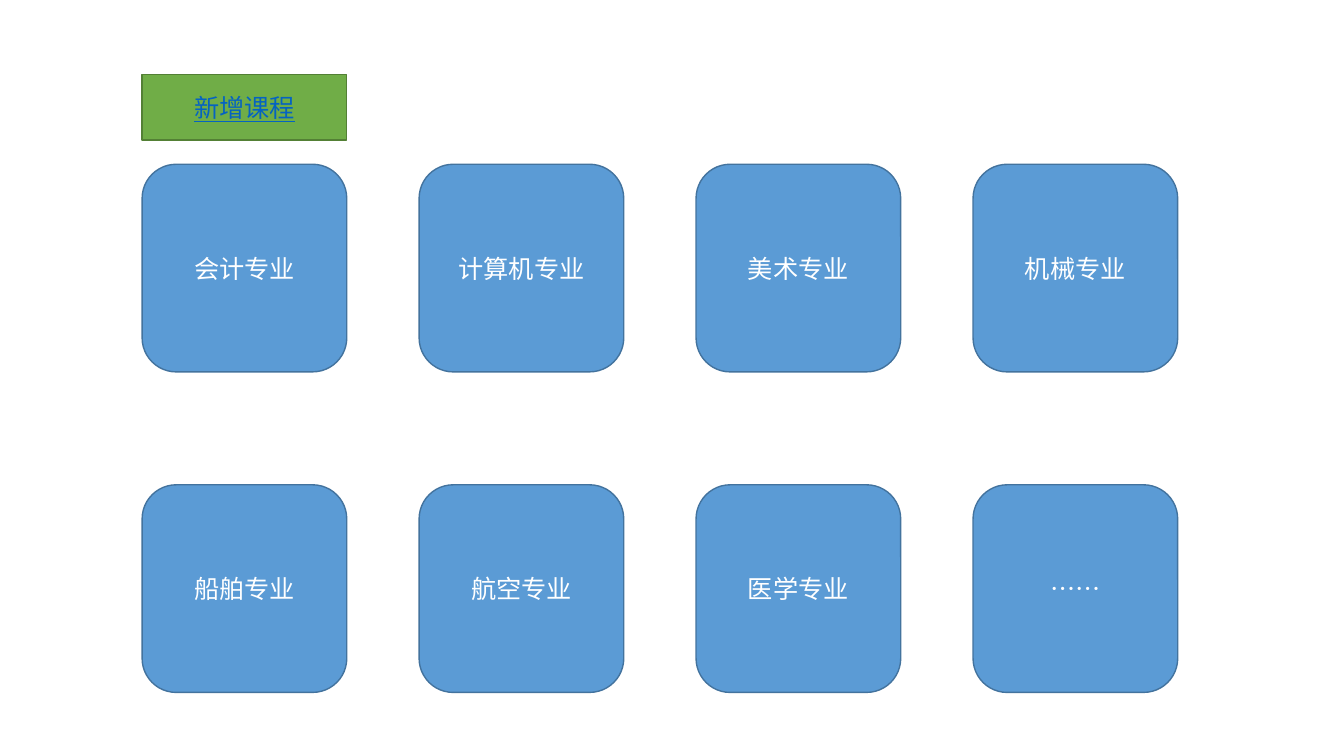
from lxml import etree
from pptx import Presentation
from pptx.dml.color import RGBColor
from pptx.enum.lang import MSO_LANGUAGE_ID
from pptx.enum.shapes import MSO_SHAPE
from pptx.enum.text import MSO_ANCHOR, PP_ALIGN
from pptx.oxml.ns import qn
from pptx.util import Inches, Pt

MAJORS = [
    ["会计专业", "计算机专业", "美术专业", "机械专业"],
    ["船舶专业", "航空专业", "医学专业", "……"],
]
ADD_COURSE = "新增课程"

FONT = "Noto Sans CJK SC"
ROUNDED = MSO_SHAPE.ROUNDED_RECTANGLE
RECTANGLE = MSO_SHAPE.RECTANGLE
CENTER = PP_ALIGN.CENTER
MIDDLE = MSO_ANCHOR.MIDDLE
CHINESE = MSO_LANGUAGE_ID.SIMPLIFIED_CHINESE

SLIDE_W, SLIDE_H = 13.33, 7.5
GRID_LEFT, GRID_TOP = 1.41, 1.63
COLUMN_STEP, ROW_STEP = 2.747, 3.18
TILE_W, TILE_H = 2.03, 2.06
BUTTON_TOP, BUTTON_H = 0.74, 0.65


def color(value):
    return RGBColor.from_string(value)


def add_tile(slide, kind, box, label, fill, border, ink, underline=False):
    tile = slide.shapes.add_shape(kind, *(Inches(length) for length in box))
    tile.shadow.inherit = False
    tile.fill.solid()
    tile.fill.fore_color.rgb = color(fill)
    tile.line.color.rgb = color(border)
    tile.line.width = Pt(1)
    frame = tile.text_frame
    frame.word_wrap = True
    frame.vertical_anchor = MIDDLE
    frame.text = label
    paragraph = frame.paragraphs[0]
    paragraph.alignment = CENTER
    font = paragraph.runs[0].font
    font.size = Pt(18)
    font.name = FONT
    font.language_id = CHINESE
    font.color.rgb = color(ink)
    if underline:
        font.underline = True
    properties = paragraph.runs[0]._r.get_or_add_rPr()
    etree.SubElement(properties, qn("a:ea")).set("typeface", FONT)


def main():
    deck = Presentation()
    deck.slide_width = Inches(SLIDE_W)
    deck.slide_height = Inches(SLIDE_H)
    slide = deck.slides.add_slide(deck.slide_layouts[6])

    for row, majors in enumerate(MAJORS):
        for column, major in enumerate(majors):
            left = GRID_LEFT + column * COLUMN_STEP
            top = GRID_TOP + row * ROW_STEP
            add_tile(slide, ROUNDED, (left, top, TILE_W, TILE_H), major,
                     "5B9BD5", "43739E", "FFFFFF")

    add_tile(slide, RECTANGLE, (GRID_LEFT, BUTTON_TOP, TILE_W, BUTTON_H),
             ADD_COURSE, "70AD47", "538035", "0563C1", underline=True)
    deck.save("out.pptx")


if __name__ == "__main__":
    main()
